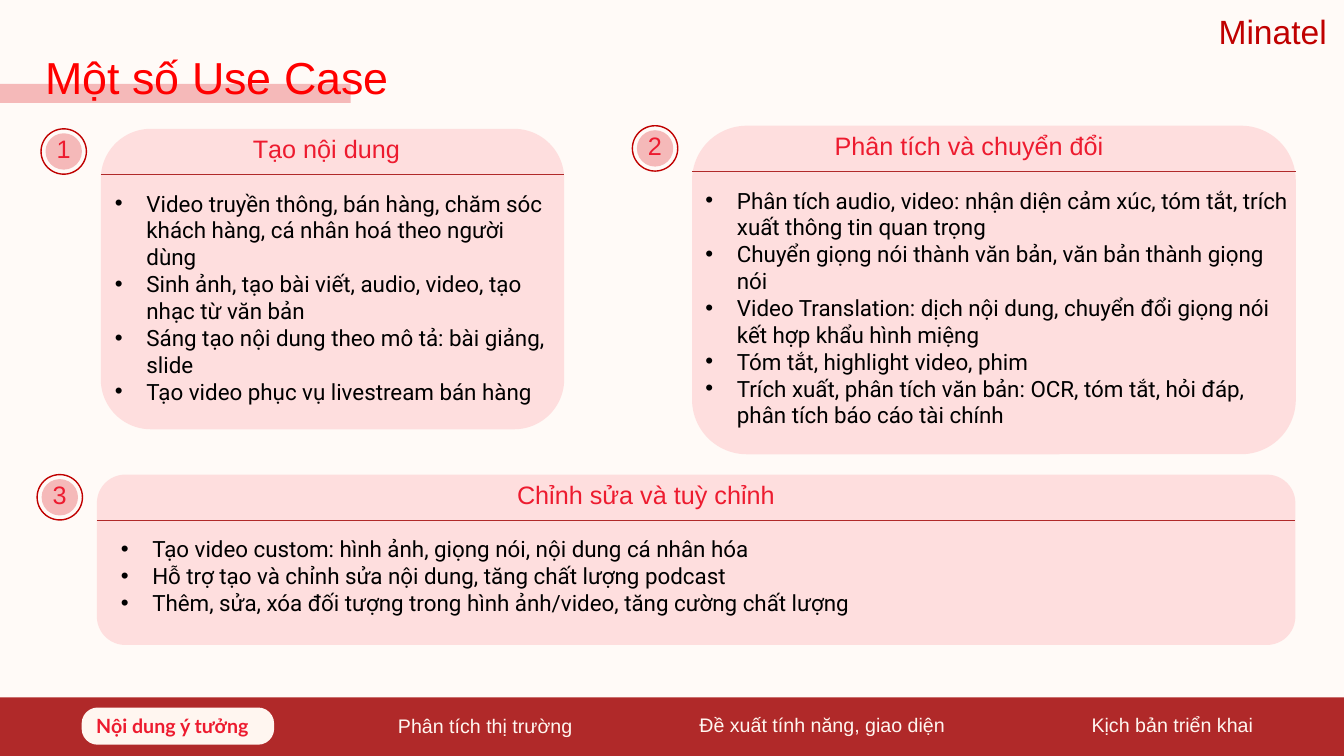
"""Build the use case slide with three cards and a section bar."""
from dataclasses import dataclass

from lxml.etree import SubElement
from pptx import Presentation
from pptx.dml.color import RGBColor
from pptx.enum.shapes import MSO_CONNECTOR, MSO_SHAPE
from pptx.enum.text import MSO_ANCHOR, PP_ALIGN
from pptx.oxml.ns import qn
from pptx.util import Pt


@dataclass(frozen=True)
class Theme:
    background: str = "FFFAF7"
    bar: str = "B02929"
    cream: str = "FFF6F0"
    accent: str = "ED1B2F"
    ring: str = "C00000"
    title: str = "FF0000"
    pink: str = "F5B9B9"
    card: str = "FEDEDE"
    body: str = "000000"
    font: str = "Arial"
    body_font: str = "Roboto"
    pill_font: str = "Lato"
    title_size: float = 32
    brand_size: float = 24
    heading_size: float = 18
    body_size: float = 16
    nav_size: float = 14


class SlideBuilder:
    def __init__(self, slide, theme):
        self.slide = slide
        self.theme = theme
        fill = slide.background.fill
        fill.solid()
        fill.fore_color.rgb = RGBColor.from_string(theme.background)

    def style(self, p, size, color, font=None, bold=False):
        for r in p.runs:
            r.font.name = font or self.theme.font
            r.font.size = Pt(size)
            r.font.bold = bold
            r.font.color.rgb = RGBColor.from_string(color)

    def shape(self, kind, x, y, w, h, fill=None, line=None, shapes=None):
        shapes = shapes or self.slide.shapes
        sp = shapes.add_shape(kind, Pt(x), Pt(y), Pt(w), Pt(h))
        sp.shadow.inherit = False
        if fill:
            sp.fill.solid()
            sp.fill.fore_color.rgb = RGBColor.from_string(fill)
        else:
            sp.fill.background()
        if line:
            sp.line.color.rgb = RGBColor.from_string(line)
            sp.line.width = Pt(1)
        else:
            sp.line.fill.background()
        return sp

    def text(self, text, x, y, w, h, size, color, shapes=None):
        shapes = shapes or self.slide.shapes
        sp = shapes.add_textbox(Pt(x), Pt(y), Pt(w), Pt(h))
        tf = sp.text_frame
        tf.word_wrap = True
        tf.text = text
        self.style(tf.paragraphs[0], size, color)

    def title(self, text, x, y, w, h):
        sp = self.slide.shapes.title
        sp.left, sp.top, sp.width, sp.height = Pt(x), Pt(y), Pt(w), Pt(h)
        tf = sp.text_frame
        tf.text = text
        tf.vertical_anchor = MSO_ANCHOR.TOP
        p = tf.paragraphs[0]
        p.alignment = PP_ALIGN.LEFT
        self.style(p, self.theme.title_size, self.theme.title)
        sp.element.getparent().append(sp.element)

    def pill(self, text, x, y, w, h):
        sp = self.shape(MSO_SHAPE.ROUNDED_RECTANGLE, x, y, w, h, self.theme.cream)
        sp.adjustments[0] = 0.43
        tf = sp.text_frame
        tf.text = text
        tf.vertical_anchor = MSO_ANCHOR.MIDDLE
        p = tf.paragraphs[0]
        p.alignment = PP_ALIGN.JUSTIFY
        self.style(p, self.theme.nav_size, self.theme.accent, self.theme.pill_font, True)

    def rule(self, x, y, w):
        cxn = self.slide.shapes.add_connector(
            MSO_CONNECTOR.STRAIGHT, Pt(x), Pt(y), Pt(x + w), Pt(y))
        cxn.line.color.rgb = RGBColor.from_string(self.theme.bar)
        cxn.line.width = Pt(0.5)
        SubElement(cxn.element.spPr, qn("a:effectLst"))

    def badge(self, number, x, y):
        shapes = self.slide.shapes.add_group_shape().shapes
        self.shape(MSO_SHAPE.OVAL, x, y, 32.4, 32.4, line=self.theme.ring, shapes=shapes)
        self.shape(MSO_SHAPE.OVAL, x + 3.2, y + 3.2, 26, 26, self.theme.pink, shapes=shapes)
        self.text(str(number), x + 4, y, 25, 29,
                  self.theme.heading_size, self.theme.accent, shapes)

    def bullets(self, items, x, y, w, h):
        sp = self.slide.shapes.add_textbox(Pt(x), Pt(y), Pt(w), Pt(h))
        tf = sp.text_frame
        tf.word_wrap = True
        tf.text = "\n".join(items)
        for p in tf.paragraphs:
            pPr = p._p.get_or_add_pPr()
            pPr.set("marL", str(Pt(22.5)))
            pPr.set("indent", str(-Pt(22.5)))
            SubElement(pPr, qn("a:buFont"), typeface="Arial")
            SubElement(pPr, qn("a:buChar"), char="•")
            self.style(p, self.theme.body_size, self.theme.body, self.theme.body_font)

    def card(self, number, heading, items, box, badge_x, heading_x, body_x, body_w):
        x, y, w, h = box
        self.badge(number, badge_x, y)
        self.shape(MSO_SHAPE.ROUNDED_RECTANGLE, x, y, w, h, self.theme.card)
        self.text(heading, heading_x, y, 270, 29,
                  self.theme.heading_size, self.theme.accent)
        self.rule(x, y + 32.4, w)
        self.bullets(items, body_x, y + 40, body_w, h - 52)


CARDS = [
    ("Tạo nội dung", [
        "Video truyền thông, bán hàng, chăm sóc khách hàng, cá nhân hoá theo người dùng",
        "Sinh ảnh, tạo bài viết, audio, video, tạo nhạc từ văn bản",
        "Sáng tạo nội dung theo mô tả: bài giảng, slide",
        "Tạo video phục vụ livestream bán hàng",
    ], (72, 92, 331, 214.6), 29.3, 173.5, 75, 323.3),
    ("Phân tích và chuyển đổi", [
        "Phân tích audio, video: nhận diện cảm xúc, tóm tắt, trích xuất thông tin quan trọng",
        "Chuyển giọng nói thành văn bản, văn bản thành giọng nói",
        "Video Translation: dịch nội dung, chuyển đổi giọng nói kết hợp khẩu hình miệng",
        "Tóm tắt, highlight video, phim",
        "Trích xuất, phân tích văn bản: OCR, tóm tắt, hỏi đáp, phân tích báo cáo tài chính",
    ], (494.3, 89.8, 431.3, 234.7), 451.7, 589, 496.8, 433.4),
    ("Chỉnh sửa và tuỳ chỉnh", [
        "Tạo video custom: hình ảnh, giọng nói, nội dung cá nhân hóa",
        "Hỗ trợ tạo và chỉnh sửa nội dung, tăng chất lượng podcast",
        "Thêm, sửa, xóa đối tượng trong hình ảnh/video, tăng cường chất lượng",
    ], (69.2, 339, 856.1, 121.7), 26.5, 362.2, 79.2, 700.6),
]
NAV = [
    ("Phân tích thị trường", 277.2, 506.2, 206.6),
    ("Đề xuất tính năng, giao diện", 492.5, 505.4, 229),
    ("Kịch bản triển khai", 772.6, 505.4, 187),
]


def main():
    prs = Presentation()
    prs.slide_width, prs.slide_height = Pt(960), Pt(540)
    theme = Theme()
    s = SlideBuilder(prs.slides.add_slide(prs.slide_layouts[5]), theme)
    s.shape(MSO_SHAPE.RECTANGLE, 0, 498.2, 960, 41.8, theme.bar)
    s.pill("Nội dung ý tưởng", 58.3, 505.4, 137.5, 26.6)
    for label, x, y, w in NAV:
        s.text(label, x, y, w, 24.5, theme.nav_size, theme.cream)
    s.text("Minatel", 863.3, 4.3, 96, 36, theme.brand_size, theme.ring)
    s.shape(MSO_SHAPE.RECTANGLE, 0, 60, 250.5, 13.5, theme.pink)
    s.title("Một số Use Case", 25.2, 31.7, 285.8, 46)
    for number, card in enumerate(CARDS, 1):
        s.card(number, *card)
    prs.save("out.pptx")


if __name__ == "__main__":
    main()
